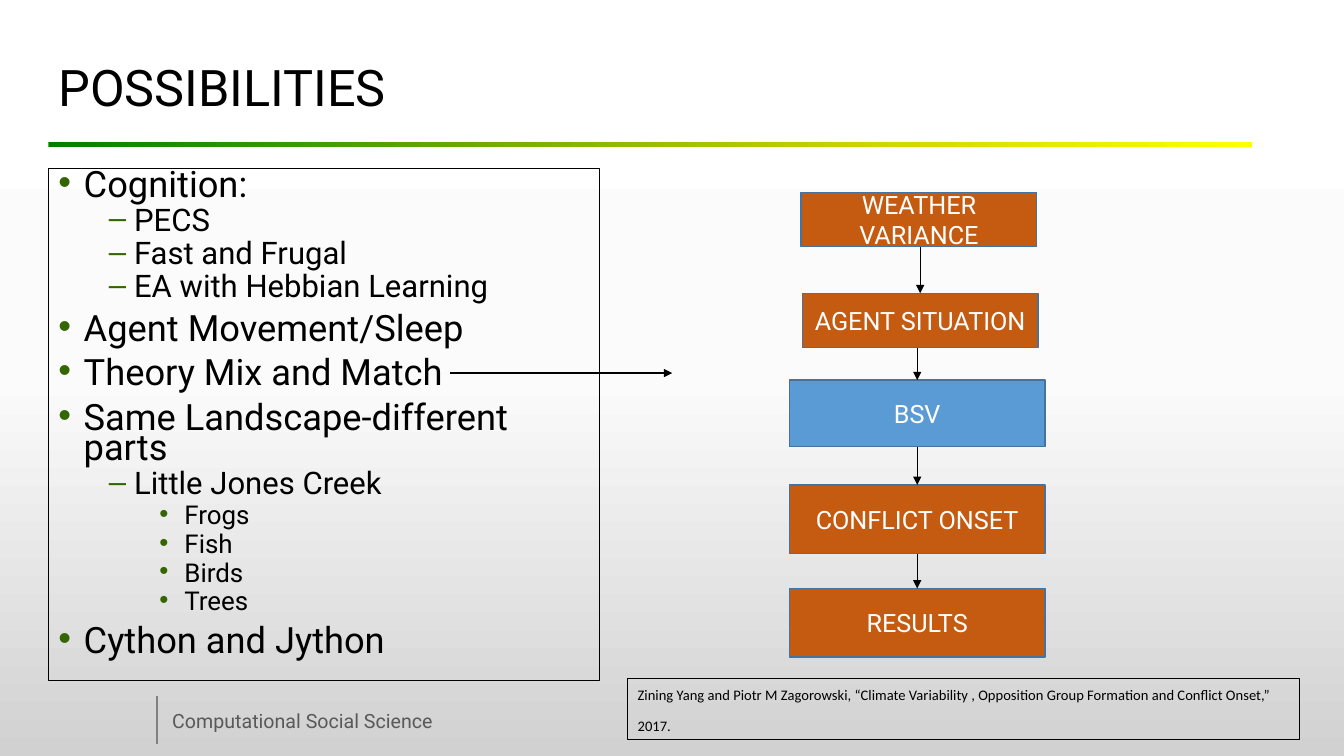
from itertools import pairwise

from lxml.etree import SubElement
from pptx import Presentation
from pptx.dml.color import RGBColor
from pptx.enum.shapes import MSO_CONNECTOR, MSO_SHAPE
from pptx.enum.text import MSO_ANCHOR, MSO_AUTO_SIZE, PP_ALIGN
from pptx.oxml.ns import qn
from pptx.util import Cm, Pt

COLORS = {
    "black": "000000", "white": "FFFFFF", "footer": "595959", "separator": "808080",
    "bullet": "336600", "orange": "C55A11", "blue": "5B9BD5", "outline": "43739E",
}
BACKGROUND_STOPS = [(0, "FFFFFF"), (50, "FBFBFB"), (100, "D1D1D1")]
RULE_STOPS = [(0, "008000"), (71, "D7D700"), (100, "FFFF00")]

# Level -> font size, space before, bullet character
LEVELS = {0: (25.9, 10, "•"), 1: (22.2, 5, "–"), 2: (18.5, 5, "•")}
IDEAS = [
    (0, "Cognition:"),
    (1, "PECS"),
    (1, "Fast and Frugal"),
    (1, "EA with Hebbian Learning"),
    (0, "Agent Movement/Sleep"),
    (0, "Theory Mix and Match"),
    (0, "Same Landscape-different parts"),
    (1, "Little Jones Creek"),
    (2, "Frogs"),
    (2, "Fish"),
    (2, "Birds"),
    (2, "Trees"),
    (0, "Cython and Jython"),
]

# Text, fill, then left, top, width and height in centimetres
FLOW = [
    ("WEATHER VARIANCE", "orange", (20.19, 4.85, 5.94, 1.37)),
    ("AGENT SITUATION", "orange", (20.22, 7.39, 5.94, 1.37)),
    ("BSV", "blue", (19.89, 9.58, 6.45, 1.68)),
    ("CONFLICT ONSET", "orange", (19.89, 12.22, 6.45, 1.73)),
    ("RESULTS", "orange", (19.89, 14.83, 6.45, 1.73)),
]
CITATION = ("Zining Yang and Piotr M Zagorowski, “Climate Variability , Opposition "
            "Group Formation and Conflict Onset,” 2017.")


def rgb(name):
    return RGBColor.from_string(COLORS[name])


def set_attributes(target, values):
    for name, value in values.items():
        setattr(target, name, value)


def place(shape, box):
    set_attributes(shape, dict(zip(("left", "top", "width", "height"), map(Cm, box))))


def set_gradient(fill, element, stops, angle):
    fill.gradient()
    gradient = element.find(".//" + qn("a:gradFill"))
    stop_list = gradient.find(qn("a:gsLst"))
    for old_stop in list(stop_list):
        stop_list.remove(old_stop)
    for position, color in stops:
        stop = SubElement(stop_list, qn("a:gs"), pos=str(position * 1000))
        SubElement(stop, qn("a:srgbClr"), val=color)
    gradient.find(qn("a:lin")).set("ang", str(angle * 60000))


def set_line(line, color, width):
    line.color.rgb = rgb(color)
    line.width = Pt(width)


def set_frame(shape, anchor):
    set_attributes(shape.text_frame, {
        "word_wrap": True, "auto_size": MSO_AUTO_SIZE.NONE, "vertical_anchor": anchor,
    })


def write(paragraph, text, size, color="black", font="Roboto", **formats):
    run = paragraph.add_run()
    run.text = text
    set_attributes(run.font, {"name": font, "size": Pt(size)})
    run.font.color.rgb = rgb(color)
    set_attributes(paragraph, {"alignment": PP_ALIGN.LEFT, **formats})
    return run


def add_rectangle(slide, box, line=None):
    shape = slide.shapes.add_shape(MSO_SHAPE.RECTANGLE, *map(Cm, box))
    shape.shadow.inherit = False
    if line:
        set_line(shape.line, *line)
    else:
        shape.line.fill.background()
    return shape


def add_line(slide, start, end, color, width, arrow=True):
    connector = slide.shapes.add_connector(MSO_CONNECTOR.STRAIGHT, *map(Cm, start + end))
    set_line(connector.line, color, width)
    if arrow:
        line = connector.element.spPr.find(qn("a:ln"))
        SubElement(line, qn("a:tailEnd"), type="triangle")
    SubElement(connector.element.spPr, qn("a:effectLst"))


def add_title(slide):
    title = slide.shapes.title
    place(title, (1.22, 1.02, 31.27, 2.51))
    set_frame(title, MSO_ANCHOR.MIDDLE)
    write(title.text_frame.paragraphs[0], "POSSIBILITIES", 36, line_spacing=0.9)


def add_ideas(slide):
    body = slide.placeholders[1]
    place(body, (1.22, 4.24, 13.89, 12.9))
    set_line(body.line, "black", 0.75)
    set_frame(body, MSO_ANCHOR.TOP)
    for index, (level, text) in enumerate(IDEAS):
        frame = body.text_frame
        paragraph = frame.add_paragraph() if index else frame.paragraphs[0]
        size, space, bullet = LEVELS[level]
        write(paragraph, text, size, level=level, line_spacing=0.7, space_before=Pt(space))
        properties = paragraph._p.get_or_add_pPr()
        properties.set("marL", str(Cm(0.635 + 1.27 * level)))
        properties.set("indent", str(Cm(-0.635)))
        bullet_color = SubElement(properties, qn("a:buClr"))
        SubElement(bullet_color, qn("a:srgbClr"), val=COLORS["bullet"])
        SubElement(properties, qn("a:buChar"), char=bullet)


def add_flow(slide):
    for text, fill, box in FLOW:
        shape = add_rectangle(slide, box, ("outline", 1))
        shape.fill.solid()
        shape.fill.fore_color.rgb = rgb(fill)
        set_frame(shape, MSO_ANCHOR.MIDDLE)
        write(shape.text_frame.paragraphs[0], text, 18, "white", alignment=PP_ALIGN.CENTER)
    # Each arrow drops from one box to the middle of the next
    for (_, _, upper), (_, _, lower) in pairwise(FLOW):
        middle = lower[0] + lower[2] / 2
        add_line(slide, (middle, upper[1] + upper[3]), (middle, lower[1]), "black", 0.5)


def add_citation(slide):
    shape = add_rectangle(slide, (15.82, 17.09, 16.94, 1.55), ("black", 0.75))
    shape.fill.background()
    set_frame(shape, MSO_ANCHOR.TOP)
    run = write(shape.text_frame.paragraphs[0], CITATION, 18, font="Calibri")
    run.font._element.set("baseline", "30000")


def add_footer(slide):
    add_line(slide, (3.96, 18.75), (3.96, 17.55), "separator", 1, arrow=False)
    footer = slide.shapes.add_textbox(*map(Cm, (4.09, 17.73, 13.18, 0.86)))
    set_frame(footer, MSO_ANCHOR.TOP)
    write(footer.text_frame.paragraphs[0], "Computational Social Science", 14, "footer")


def main():
    presentation = Presentation()
    set_attributes(presentation, {"slide_width": Cm(33.87), "slide_height": Cm(19.05)})
    slide = presentation.slides.add_slide(presentation.slide_layouts[1])
    set_gradient(slide.background.fill, slide.element, BACKGROUND_STOPS, 90)

    # Rule under the title and footer
    rule = add_rectangle(slide, (1.22, 3.58, 30.33, 0.13))
    set_gradient(rule.fill, rule.element, RULE_STOPS, 0)
    add_footer(slide)

    # Title, list and flow chart
    add_title(slide)
    add_ideas(slide)
    add_flow(slide)
    add_citation(slide)

    # Arrow from the list to the flow chart
    add_line(slide, (11.35, 9.4), (16.94, 9.4), "black", 1.75)
    presentation.save("out.pptx")


if __name__ == "__main__":
    main()
